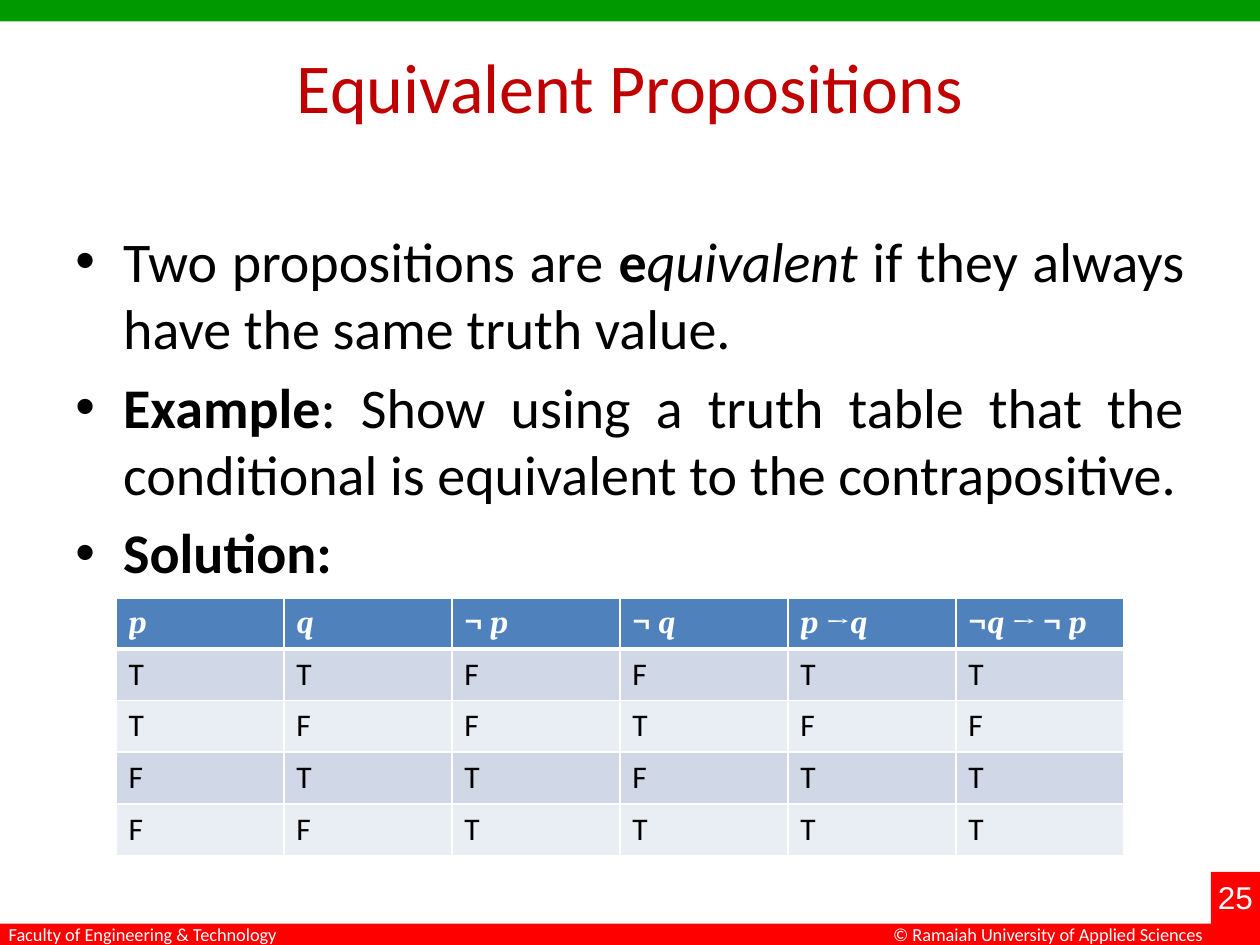
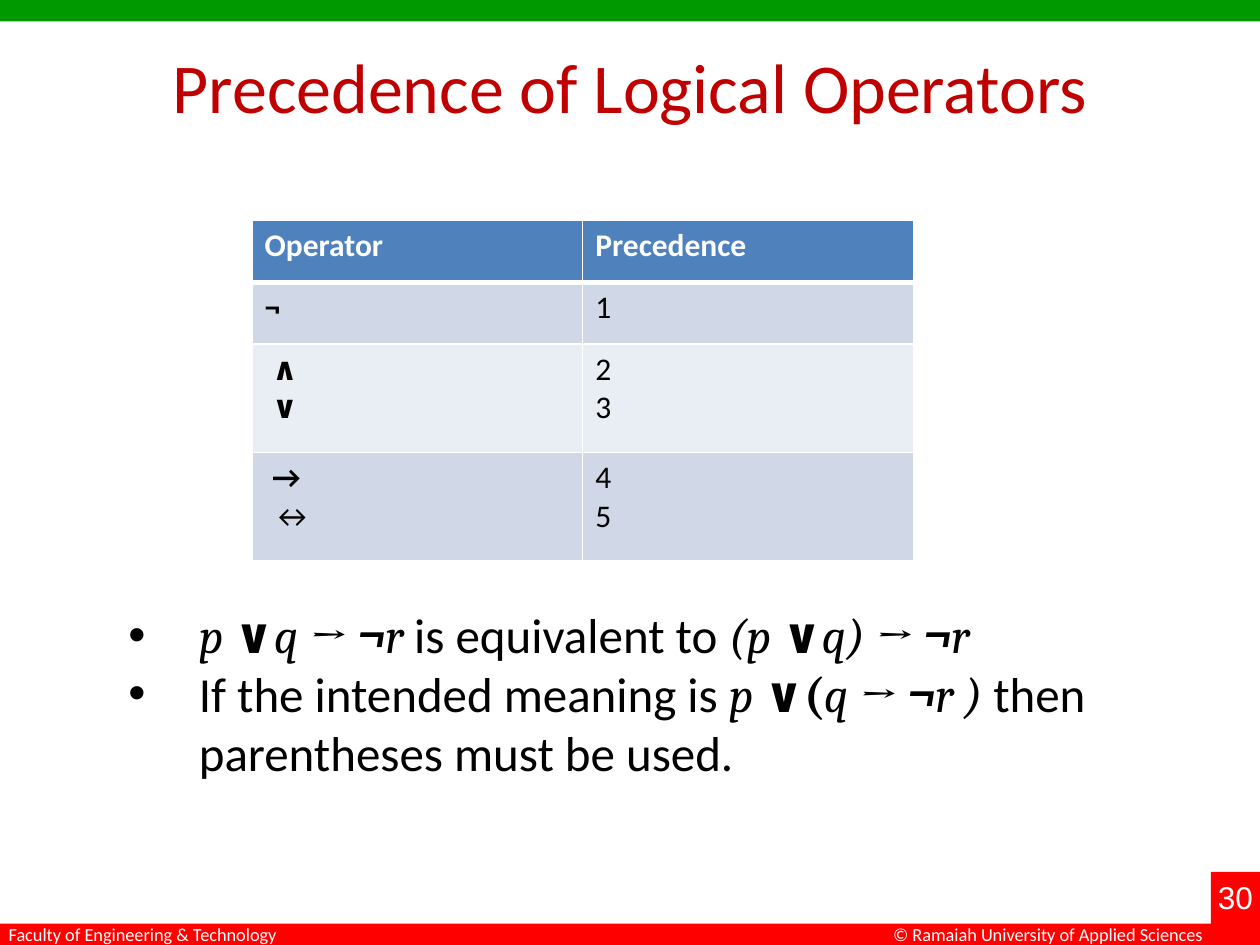
"""Build two slides on equivalent propositions and operator precedence."""
from lxml import etree
from pptx import Presentation
from pptx.dml.color import RGBColor
from pptx.enum.shapes import MSO_SHAPE
from pptx.enum.text import PP_ALIGN
from pptx.oxml.ns import qn
from pptx.util import Inches, Pt

RECTANGLE = MSO_SHAPE.RECTANGLE
LEFT, CENTER, JUSTIFY = PP_ALIGN.LEFT, PP_ALIGN.CENTER, PP_ALIGN.JUSTIFY

WHITE = RGBColor(0xFF, 0xFF, 0xFF)
BLACK = RGBColor(0x00, 0x00, 0x00)
GREEN = RGBColor(0x00, 0x99, 0x00)
RED = RGBColor(0xFF, 0x00, 0x00)
TITLE_RED = RGBColor(0xC0, 0x00, 0x00)
HEADER_BLUE = RGBColor(0x4F, 0x81, 0xBD)
BAND_DARK = RGBColor(0xD0, 0xD8, 0xE8)
BAND_LIGHT = RGBColor(0xE9, 0xED, 0xF4)

BANDS = [
    ((0, 0, 10, 0.17), GREEN),
    ((0, 7.33, 10, 0.17), RED),
    ((9.61, 6.92, 0.39, 0.58), RED),
]
FOOTERS = [
    ((-0.03, 7.28, 2.38, 0.28), "Faculty of Engineering & Technology"),
    ((6.99, 7.28, 2.74, 0.28), "© Ramaiah University of Applied Sciences"),
]

# Style letters: b bold, i italic, m Cambria, s set in from the cell edge.
TRUTH_HEADER = [
    [[("p", "bim")]],
    [[("q", "bim")]],
    [[("¬ ", "bm"), ("p", "bim")]],
    [[("¬ ", "bm"), ("q", "bim")]],
    [[("p ", "bim"), ("→", "bm"), ("q", "bim")]],
    [[("¬", "bm"), ("q ", "bim"), ("→ ¬ ", "bm"), ("p", "bim")]],
]
TRUTH_ROWS = [[[[(value, "")]] for value in row]
              for row in ("TTFFTT", "TFFTFF", "FTTFTT", "FFTTTT")]

SLIDES = [
    {
        "title": "Equivalent Propositions",
        "number": "25",
        "bullets": {
            "frame": (0.5, 1.75, 9, 4.95), "size": 32, "indent": 0.38,
            "align": JUSTIFY, "gap": 6.4,
            "paras": [
                [("Two propositions are ", ""), ("e", "b"), ("quivalent ", "i"),
                 ("if they always have the same truth value.", "")],
                [("Example", "b"),
                 (": Show using a truth table that the conditional is "
                  "equivalent to the contrapositive.", "")],
                [("Solution:", "b")],
            ],
        },
        "table": {
            "corner": (0.92, 4.75), "width": 8,
            "heights": [0.38] + [0.41] * 4,
            "rows": [TRUTH_HEADER] + TRUTH_ROWS,
        },
    },
    {
        "title": "Precedence of Logical Operators",
        "number": "30",
        "bullets": {
            "frame": (0.92, 4.75, 8.5, 1.51), "size": 28, "indent": 0.56,
            "align": LEFT, "gap": 0,
            "paras": [
                [("p ", "im"), ("∨", "bm"), ("q ", "im"), ("→ ¬", "bim"),
                 ("r ", "im"), ("is equivalent to ", ""), ("(p ", "im"),
                 ("∨", "bm"), ("q)", "im"), (" → ¬", "bim"), ("r", "im")],
                [("If the intended meaning is ", ""), ("p ", "im"),
                 ("∨(", "bm"), ("q ", "im"), ("→ ¬", "bim"), ("r ) ", "im"),
                 ("then parentheses must be used.", "")],
            ],
        },
        "table": {
            "corner": (2, 1.75), "width": 5.25,
            "heights": [0.49, 0.49, 0.86, 0.86],
            "rows": [
                [[[("Operator", "b")]], [[("Precedence", "b")]]],
                [[[("¬", "b")]], [[("1", "")]]],
                [[[("∧", "bs")], [("∨", "bs")]], [[("2", "")], [("3", "")]]],
                [[[("→", "bs")], [("↔", "s")]], [[("4", "")], [("5", "")]]],
            ],
        },
    },
]


def write_spans(para, spans, size, color, font=None):
    """Add styled runs to a paragraph."""
    for text, style in spans:
        span = para.add_run()
        span.text = text
        if "s" in style:
            para._p.get_or_add_pPr().set("marL", str(Inches(0.06)))
        formats = {
            "name": font or ("Cambria" if "m" in style else "Calibri"),
            "size": Pt(size), "bold": "b" in style, "italic": "i" in style,
        }
        for name, value in formats.items():
            setattr(span.font, name, value)
        span.font.color.rgb = color


def add_text(page, frame, paras, size, color, align=LEFT, wrap=True, font=None):
    """Add a text box and return its paragraphs."""
    box = page.shapes.add_textbox(*map(Inches, frame))
    box.text_frame.word_wrap = wrap
    for index, spans in enumerate(paras):
        para = box.text_frame.add_paragraph() if index else box.text_frame.paragraphs[0]
        para.alignment = align
        write_spans(para, spans, size, color, font)
    return box.text_frame.paragraphs


deck = Presentation()
deck.slide_width, deck.slide_height = Inches(10), Inches(7.5)

for content in SLIDES:
    page = deck.slides.add_slide(deck.slide_layouts[6])

    for frame, color in BANDS:
        band = page.shapes.add_shape(RECTANGLE, *map(Inches, frame))
        band.shadow.inherit = False
        band.fill.solid()
        band.fill.fore_color.rgb = color
        band.line.fill.background()
    add_text(page, (9.5, 6.92, 0.61, 0.51), [[(content["number"], "")]], 18, WHITE,
             CENTER, wrap=False, font="Arial")
    for frame, text in FOOTERS:
        add_text(page, frame, [[(text, "")]], 10.5, WHITE, wrap=False)

    add_text(page, (0.5, 0.3, 9, 1.25), [[(content["title"], "")]], 40, TITLE_RED, CENTER)

    bullets = content["bullets"]
    paras = add_text(page, bullets["frame"], bullets["paras"], bullets["size"], BLACK,
                     bullets["align"])
    for index, para in enumerate(paras):
        properties = para._p.get_or_add_pPr()
        properties.set("marL", str(Inches(bullets["indent"])))
        properties.set("indent", str(-Inches(bullets["indent"])))
        etree.SubElement(properties, qn("a:buFont"), typeface="Arial")
        etree.SubElement(properties, qn("a:buChar"), char="•")
        if index:
            para.space_before = Pt(bullets["gap"])

    layout = content["table"]
    rows, heights = layout["rows"], layout["heights"]
    table = page.shapes.add_table(
        len(rows), len(rows[0]), *map(Inches, layout["corner"]),
        Inches(layout["width"]), Inches(sum(heights))).table
    for column in table.columns:
        column.width = Inches(layout["width"] / len(rows[0]))
    for row_index, row in enumerate(rows):
        table.rows[row_index].height = Inches(heights[row_index])
        header = row_index == 0
        fill = HEADER_BLUE if header else BAND_DARK if row_index % 2 else BAND_LIGHT
        for column_index, cell_paras in enumerate(row):
            cell = table.cell(row_index, column_index)
            borders = {"L": 1, "R": 1, "T": 3 if row_index == 1 else 1, "B": 3 if header else 1}
            for side, width in borders.items():
                line = etree.SubElement(cell._tc.get_or_add_tcPr(), qn(f"a:ln{side}"),
                                        w=str(Pt(width)))
                paint = etree.SubElement(line, qn("a:solidFill"))
                etree.SubElement(paint, qn("a:srgbClr"), val=str(WHITE))
            cell.fill.solid()
            cell.fill.fore_color.rgb = fill
            for index, spans in enumerate(cell_paras):
                para = cell.text_frame.add_paragraph() if index else cell.text_frame.paragraphs[0]
                write_spans(para, spans, 18, WHITE if header else BLACK)

deck.save("out.pptx")
